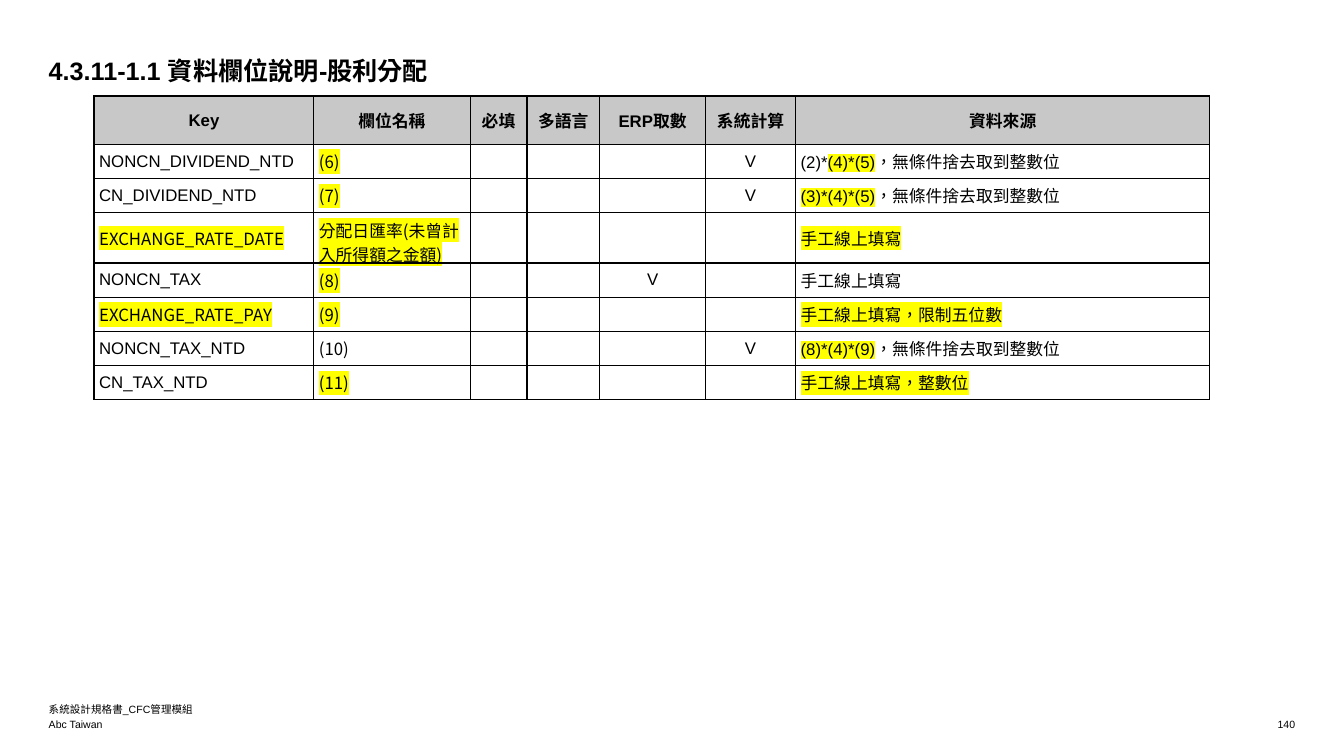
from lxml.etree import SubElement
from pptx import Presentation
from pptx.dml.color import RGBColor as RGB
from pptx.enum.text import MSO_ANCHOR as ANCHOR, MSO_AUTO_SIZE as AUTO, PP_ALIGN as ALIGN
from pptx.oxml.ns import qn
from pptx.util import Pt

COLORS = {"text": "000000", "border": "000000", "header": "C8C8C8", "mark": "FFFF00"}
LATIN, CJK = "Arial", "Noto Sans CJK SC"

HEADERS = ["Key", "欄位名稱", "必填", "多語言", "ERP取數", "系統計算", "資料來源"]
COL_WIDTHS = [157, 111.6, 40.6, 52, 75.6, 64.4, 295.9]
HEADER_HEIGHT, ROW_HEIGHT = 34.5, 24.4
FETCHED, COMPUTED = 4, 5
ROUND_DOWN = ("，無條件捨去取到整數位", False)
ROWS = [
    (("NONCN_DIVIDEND_NTD", False), ("(6)", True), COMPUTED,
     [("(2)*", False), ("(4)*(5)", True), ROUND_DOWN]),
    (("CN_DIVIDEND_NTD", False), ("(7)", True), COMPUTED,
     [("(3)*(4)*(5)", True), ROUND_DOWN]),
    (("EXCHANGE_RATE_DATE", True), ("分配日匯率(未曾計入所得額之金額)", True), None,
     [("手工線上填寫", True)]),
    (("NONCN_TAX", False), ("(8)", True), FETCHED, [("手工線上填寫", False)]),
    (("EXCHANGE_RATE_PAY", True), ("(9)", True), None,
     [("手工線上填寫，限制五位數", True)]),
    (("NONCN_TAX_NTD", False), ("(10)", False), COMPUTED,
     [("(8)*(4)*(9)", True), ROUND_DOWN]),
    (("CN_TAX_NTD", False), ("(11)", True), None, [("手工線上填寫，整數位", True)]),
]


def add_run(p, text, size=12, font=LATIN, bold=False, mark=False):
    r = p.add_run()
    r.text = text
    r.font.size = Pt(size)
    r.font.bold = bold
    r.font.color.rgb = RGB.from_string(COLORS["text"])
    rPr = r._r.get_or_add_rPr()
    rPr.set("lang", "zh-TW")
    if mark:
        highlight = SubElement(rPr, qn("a:highlight"))
        SubElement(highlight, qn("a:srgbClr"), val=COLORS["mark"])
    r.font.name = font


def set_margins(target, margin):
    target.margin_left = target.margin_right = Pt(margin)
    target.margin_top = target.margin_bottom = Pt(margin)


def add_title(s, text):
    sp = s.shapes.title
    sp.left, sp.top, sp.width, sp.height = Pt(34.8), Pt(39.6), Pt(286.8), Pt(21.6)
    tf = sp.text_frame
    set_margins(tf, 0)
    tf.word_wrap = False
    tf.auto_size = AUTO.SHAPE_TO_FIT_TEXT
    tf.vertical_anchor = ANCHOR.TOP
    p = tf.paragraphs[0]
    p.alignment = ALIGN.LEFT
    p.line_spacing = 1.0
    p.space_before, p.space_after = Pt(0), Pt(6)
    add_run(p, text, size=18, bold=True)


def add_footer(s, text, left, top, width, align=ALIGN.LEFT):
    tf = s.shapes.add_textbox(Pt(left), Pt(top), Pt(width), Pt(10.8)).text_frame
    set_margins(tf, 0)
    tf.word_wrap = True
    tf.vertical_anchor = ANCHOR.BOTTOM
    p = tf.paragraphs[0]
    p.alignment = align
    add_run(p, text, size=7.5)


def style_cell(cell, fill=None):
    cell.vertical_anchor = ANCHOR.MIDDLE
    tcPr = cell._tc.get_or_add_tcPr()
    for side in ("lnL", "lnR", "lnT", "lnB"):
        ln = SubElement(tcPr, qn(f"a:{side}"), w=str(Pt(1)))
        SubElement(SubElement(ln, qn("a:solidFill")), qn("a:srgbClr"), val=COLORS["border"])
    if fill:
        cell.fill.solid()
        cell.fill.fore_color.rgb = RGB.from_string(fill)
    else:
        cell.fill.background()


def fill_cell(cell, runs, font=LATIN, align=ALIGN.LEFT):
    style_cell(cell)
    set_margins(cell, 3.6)
    p = cell.text_frame.paragraphs[0]
    p.alignment = align
    for text, mark in runs:
        add_run(p, text, font=font, mark=mark)
    if not runs:
        SubElement(p._p, qn("a:endParaRPr"), lang="zh-TW", sz="1200")


def add_field_table(s):
    height = HEADER_HEIGHT + ROW_HEIGHT * len(ROWS)
    table = s.shapes.add_table(len(ROWS) + 1, len(HEADERS), Pt(67.2), Pt(68.6),
                               Pt(sum(COL_WIDTHS)), Pt(height)).table
    table.first_row = table.horz_banding = False
    for col, width in zip(table.columns, COL_WIDTHS):
        col.width = Pt(width)
    for i, row in enumerate(table.rows):
        row.height = Pt(ROW_HEIGHT if i else HEADER_HEIGHT)
    for i, header in enumerate(HEADERS):
        cell = table.cell(0, i)
        style_cell(cell, COLORS["header"])
        p = cell.text_frame.paragraphs[0]
        p.alignment = ALIGN.CENTER
        add_run(p, header, bold=True)
    for i, (key, name, checked, source) in enumerate(ROWS, 1):
        fill_cell(table.cell(i, 0), [key], font=CJK if key[1] else LATIN)
        fill_cell(table.cell(i, 1), [name], font=CJK)
        for j in range(2, 6):
            fill_cell(table.cell(i, j), [("V", False)] if j == checked else [],
                      align=ALIGN.CENTER)
        fill_cell(table.cell(i, 6), source)


def main():
    prs = Presentation()
    prs.slide_width, prs.slide_height = Pt(960), Pt(540)
    s = prs.slides.add_slide(prs.slide_layouts[5])
    add_title(s, "4.3.11-1.1 資料欄位說明-股利分配")
    add_field_table(s)
    add_footer(s, "系統設計規格書_CFC管理模組", 34.8, 500.4, 431.3)
    add_footer(s, "Abc Taiwan", 34.8, 511.2, 431.3)
    add_footer(s, "140", 786.2, 511.2, 139, align=ALIGN.RIGHT)
    prs.save("out.pptx")


if __name__ == "__main__":
    main()
